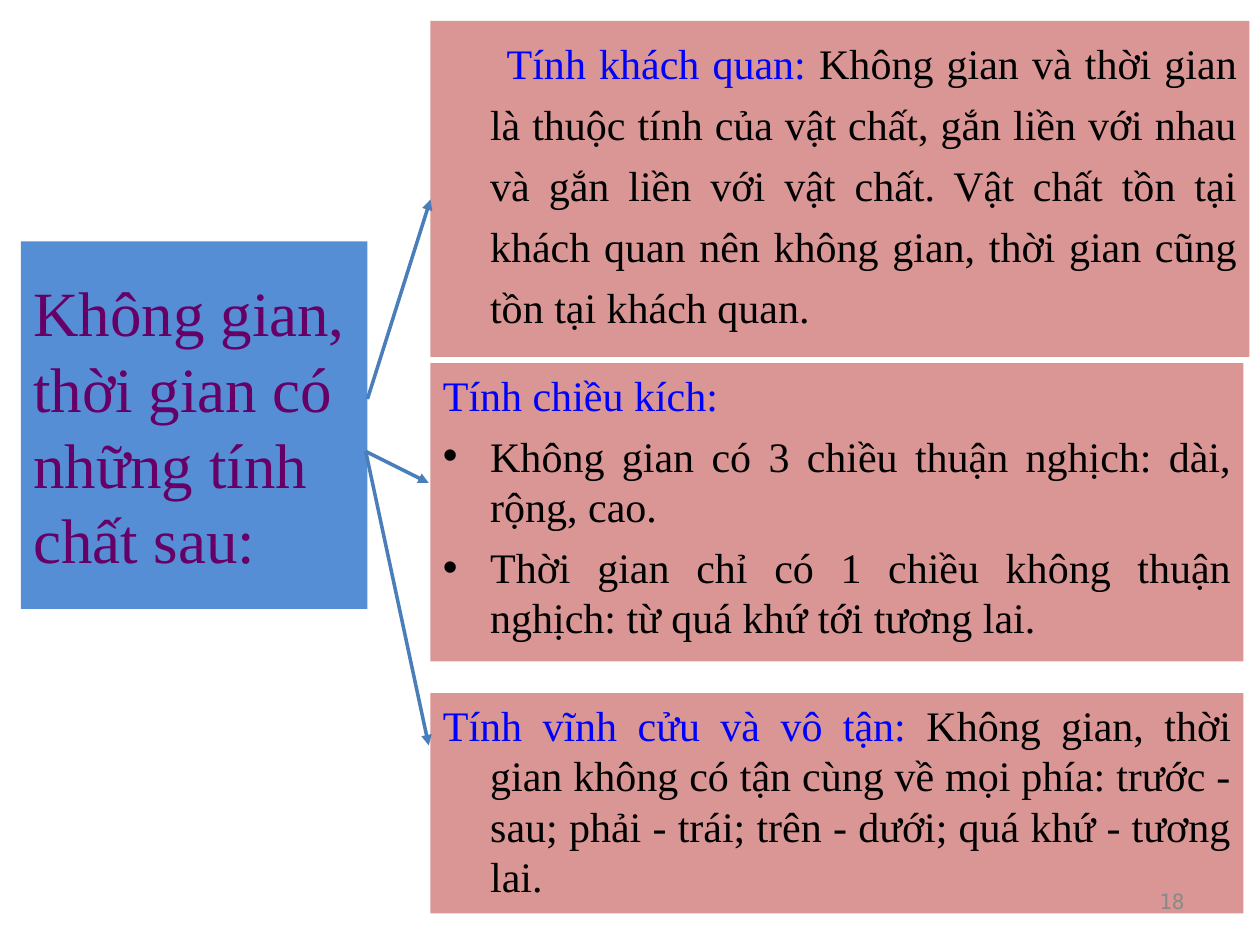
from lxml import etree
from pptx import Presentation
from pptx.dml.color import RGBColor
from pptx.enum.shapes import MSO_CONNECTOR, MSO_SHAPE
from pptx.enum.text import MSO_ANCHOR, PP_ALIGN
from pptx.oxml.ns import qn
from pptx.util import Pt

RECTANGLE = MSO_SHAPE.RECTANGLE
STRAIGHT = MSO_CONNECTOR.STRAIGHT
TOP, MIDDLE = MSO_ANCHOR.TOP, MSO_ANCHOR.MIDDLE
LEFT, RIGHT, JUSTIFY = PP_ALIGN.LEFT, PP_ALIGN.RIGHT, PP_ALIGN.JUSTIFY

SERIF, MONO = "Times New Roman", "DejaVu Sans Mono"
BLUE, PINK, ARROW = "558ED5", "D99694", "4A7EBB"
PURPLE, HEADING, BLACK, GREY = "660066", "0000FF", "000000", "898989"
HANGING = 27


def color(hex_string):
    return RGBColor.from_string(hex_string)


def prepare_frame(shape, anchor):
    frame = shape.text_frame
    frame.word_wrap = True
    frame.vertical_anchor = anchor
    frame.margin_left = frame.margin_right = Pt(7.2)
    frame.margin_top = frame.margin_bottom = Pt(3.6)
    return frame


def add_box(slide, left, top, width, height, fill, anchor=TOP):
    shape = slide.shapes.add_shape(RECTANGLE, Pt(left), Pt(top), Pt(width), Pt(height))
    shape.shadow.inherit = False
    shape.fill.solid()
    shape.fill.fore_color.rgb = color(fill)
    shape.line.fill.background()
    return prepare_frame(shape, anchor)


def add_run(paragraph, text, size, font_color, font_name=SERIF):
    run = paragraph.add_run()
    run.text = text
    run.font.size = Pt(size)
    run.font.name = font_name
    run.font.color.rgb = color(font_color)


def format_body(paragraph, first_line=-HANGING, line_spacing=1.0, gap=3, bullet=False):
    paragraph.alignment = JUSTIFY
    paragraph.line_spacing = line_spacing
    paragraph.space_before = paragraph.space_after = Pt(gap)
    properties = paragraph._p.get_or_add_pPr()
    properties.set("marL", str(Pt(HANGING)))
    properties.set("indent", str(Pt(first_line)))
    if bullet:
        bullet_color = etree.SubElement(properties, qn("a:buClr"))
        etree.SubElement(bullet_color, qn("a:srgbClr"), val=BLACK)
        etree.SubElement(properties, qn("a:buFont"), typeface="Arial")
        etree.SubElement(properties, qn("a:buChar"), char="•")


def add_arrow(slide, start, end):
    connector = slide.shapes.add_connector(STRAIGHT, *(Pt(value) for value in start + end))
    connector.line.color.rgb = color(ARROW)
    connector.line.width = Pt(2)
    line = connector.line._get_or_add_ln()
    etree.SubElement(line, qn("a:tailEnd"), type="triangle")
    etree.SubElement(connector._element.spPr, qn("a:effectLst"))


def add_page_number(slide, number):
    shape = slide.shapes.add_textbox(Pt(516), Pt(500.5), Pt(168), Pt(28.75))
    paragraph = prepare_frame(shape, MIDDLE).paragraphs[0]
    paragraph.alignment = RIGHT
    add_run(paragraph, number, 12, GREY, MONO)


def main():
    presentation = Presentation()
    presentation.slide_width, presentation.slide_height = Pt(720), Pt(540)
    slide = presentation.slides.add_slide(presentation.slide_layouts[6])

    # Topic
    topic = add_box(slide, 12, 138, 198, 210, BLUE, MIDDLE).paragraphs[0]
    topic.alignment = LEFT
    add_run(topic, "Không gian, thời gian có những tính chất sau:", 36, PURPLE)

    # Objectivity
    objectivity = add_box(slide, 246, 12, 468, 192, PINK).paragraphs[0]
    format_body(objectivity, first_line=9.5, line_spacing=1.21, gap=6)
    add_run(objectivity, "Tính khách quan:", 24, HEADING)
    add_run(objectivity, " Không gian và thời gian là thuộc tính của vật chất, gắn liền với "
            "nhau và gắn liền với vật chất. Vật chất tồn tại khách quan nên không gian, "
            "thời gian cũng tồn tại khách quan.", 24, BLACK)

    # Dimensions
    dimensions = add_box(slide, 246, 207.5, 464.5, 170.5, PINK)
    heading = dimensions.paragraphs[0]
    format_body(heading)
    add_run(heading, "Tính chiều kích:", 24, HEADING)
    for text in ("Không gian có 3 chiều thuận nghịch: dài, rộng, cao.",
                 "Thời gian chỉ có 1 chiều không thuận nghịch: từ quá khứ tới tương lai."):
        item = dimensions.add_paragraph()
        format_body(item, bullet=True)
        add_run(item, text, 24, BLACK)

    # Eternity and infinity
    infinity = add_box(slide, 246, 396, 464.5, 126, PINK).paragraphs[0]
    format_body(infinity)
    add_run(infinity, "Tính vĩnh cửu và vô tận:", 24, HEADING)
    add_run(infinity, " Không gian, thời gian không có tận cùng về mọi phía: trước - sau; "
            "phải - trái; trên - dưới; quá khứ - tương lai.", 24, BLACK)

    # Arrows from the topic to each property
    add_arrow(slide, (210, 228), (246, 114))
    for end_y in (276, 426):
        add_arrow(slide, (209, 258), (245, end_y))

    add_page_number(slide, "18")
    presentation.save("out.pptx")


if __name__ == "__main__":
    main()
